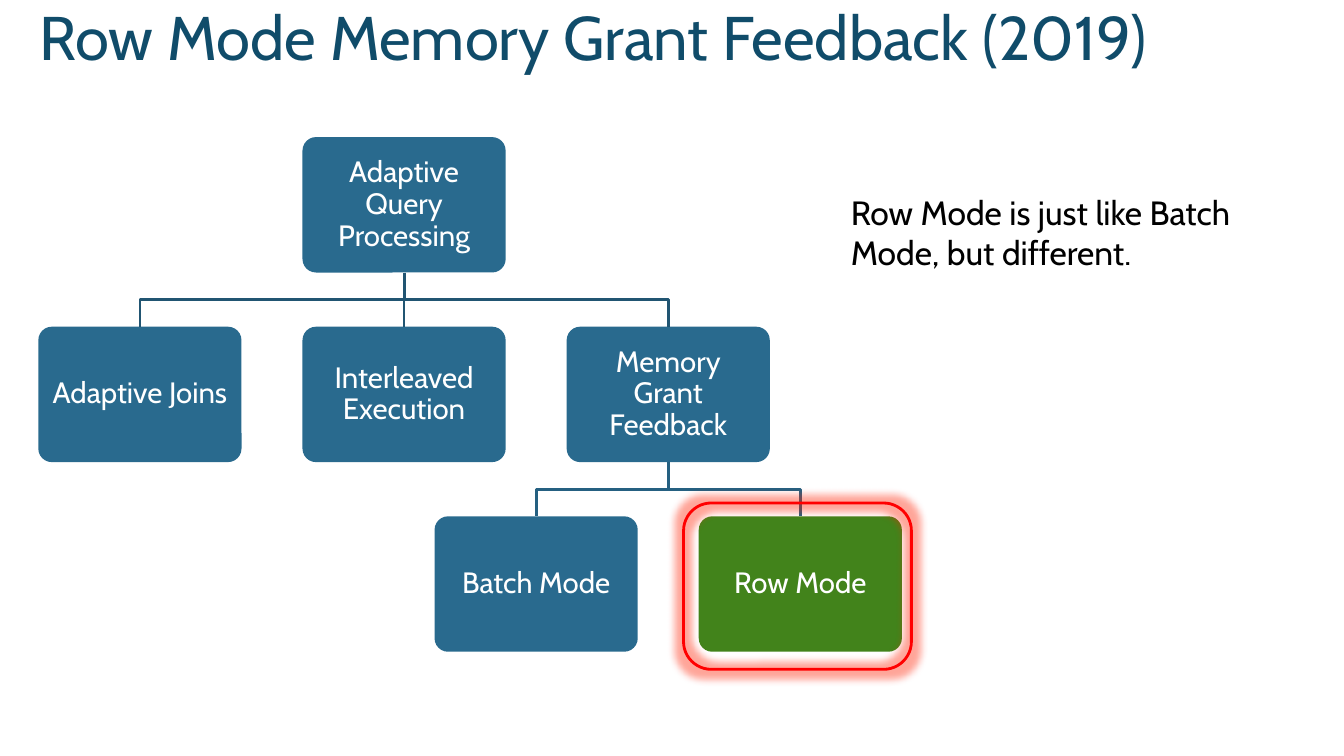
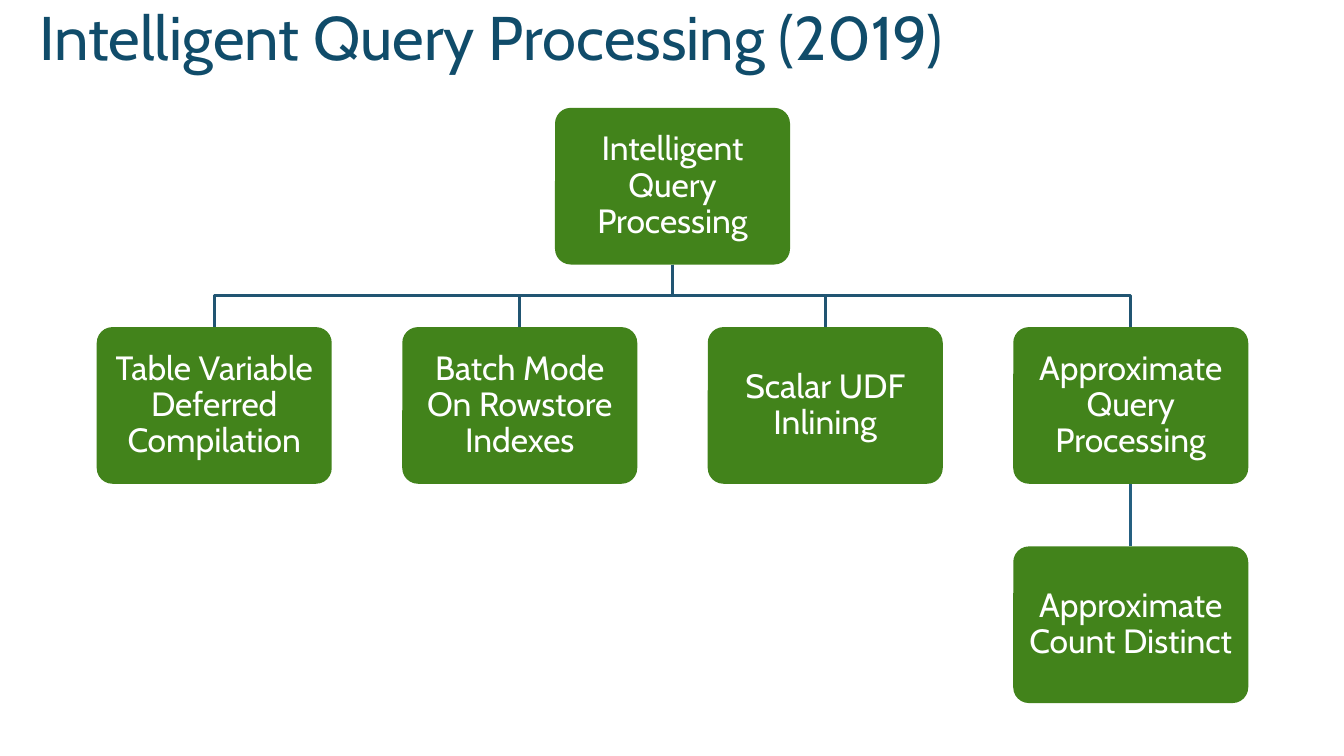
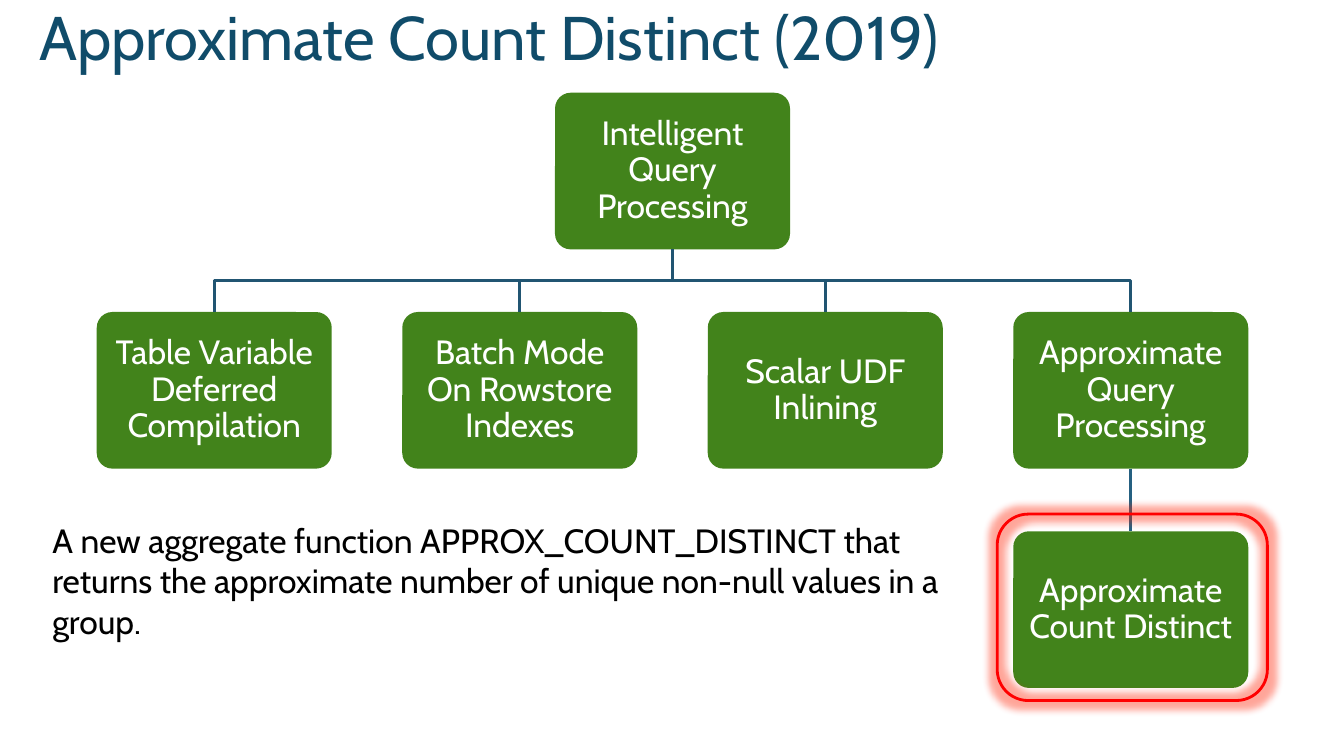
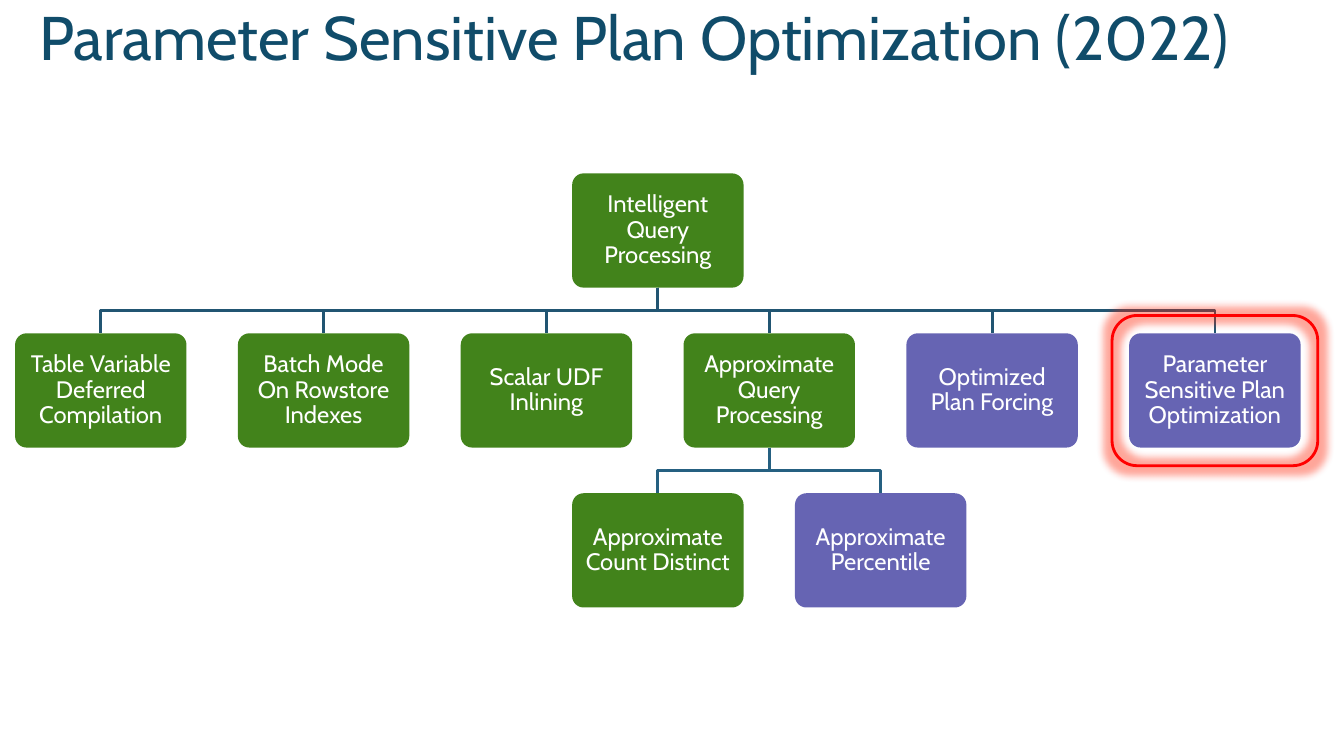
from lxml import etree
from pptx import Presentation
from pptx import util as u
from pptx.dml.color import RGBColor
from pptx.enum import shapes, text
from pptx.oxml.ns import qn

COLORS = {
    "title": "104C6A",
    "body": "000000",
    "label": "FFFFFF",
    "adaptive": "296A8E",
    "intelligent": "42831B",
    "latest": "6664B3",
    "upper branch": "215572",
    "lower branch": "256081",
    "ring": "FF0000",
    "glow": "FF2000",
}
FONT = "Cabin"

adaptive_tree = [
    ("Adaptive Query Processing", 1, 0, "adaptive", None),
    ("Adaptive Joins", 0, 1, "adaptive", "Adaptive Query Processing"),
    ("Interleaved Execution", 1, 1, "adaptive", "Adaptive Query Processing"),
    ("Memory Grant Feedback", 2, 1, "adaptive", "Adaptive Query Processing"),
    ("Batch Mode", 1.5, 2, "adaptive", "Memory Grant Feedback"),
    ("Row Mode", 2.5, 2, "intelligent", "Memory Grant Feedback"),
]
features = [
    ("Table Variable Deferred Compilation", 0, 1, "intelligent", "Intelligent Query Processing"),
    ("Batch Mode On Rowstore Indexes", 1, 1, "intelligent", "Intelligent Query Processing"),
    ("Scalar UDF Inlining", 2, 1, "intelligent", "Intelligent Query Processing"),
    ("Approximate Query Processing", 3, 1, "intelligent", "Intelligent Query Processing"),
]
tree_2019 = [
    ("Intelligent Query Processing", 1.5, 0, "intelligent", None),
    *features,
    ("Approximate Count Distinct", 3, 2, "intelligent", "Approximate Query Processing"),
]
tree_2022 = [
    ("Intelligent Query Processing", 2.5, 0, "intelligent", None),
    *features,
    ("Approximate Count Distinct", 2.5, 2, "intelligent", "Approximate Query Processing"),
    ("Approximate Percentile", 3.5, 2, "latest", "Approximate Query Processing"),
    ("Optimized Plan Forcing", 4, 1, "latest", "Intelligent Query Processing"),
    ("Parameter Sensitive Plan Optimization", 5, 1, "latest", "Intelligent Query Processing"),
]

pages = [
    {
        "title": "Row Mode Memory Grant Feedback (2019)",
        "tree": adaptive_tree, "left": 0.38, "top": 1.36, "pitch": 2.62, "size": 21,
        "ring": (6.78, 4.99, 2.26, 1.65),
        "remark": "Row Mode is just like Batch Mode, but different.",
        "remark at": (8.34, 1.85, 4.89, 0.91),
    },
    {
        "title": "Intelligent Query Processing (2019)",
        "tree": tree_2019, "left": 0.96, "top": 1.07, "pitch": 3.03, "size": 24,
    },
    {
        "title": "Approximate Count Distinct (2019)",
        "tree": tree_2019, "left": 0.96, "top": 0.92, "pitch": 3.03, "size": 24,
        "ring": (9.89, 5.1, 2.68, 1.85),
        "remark": "A new aggregate function APPROX_COUNT_DISTINCT that returns the "
                  "approximate number of unique non-null values in a group.",
        "remark at": (0.42, 5.11, 9.35, 1.31),
    },
    {
        "title": "Parameter Sensitive Plan Optimization (2022)",
        "tree": tree_2022, "left": 0.15, "top": 1.72, "pitch": 2.21, "size": 17,
        "ring": (11.03, 3.13, 2.04, 1.49),
    },
]


def write(frame, words, size, color):
    frame.word_wrap = True
    paragraph = frame.paragraphs[0]
    paragraph.text = words
    paragraph.font.name = FONT
    paragraph.font.size = u.Pt(size)
    paragraph.font.color.rgb = RGBColor.from_string(COLORS[color])
    return paragraph


def stroke(line, color):
    line.color.rgb = RGBColor.from_string(COLORS[color])
    line.width = u.Pt(2)


deck = Presentation()
deck.slide_width, deck.slide_height = u.Inches(13.33), u.Inches(7.5)

for page in pages:
    canvas = deck.slides.add_slide(deck.slide_layouts[6]).shapes
    heading = canvas.add_textbox(*map(u.Inches, (0.29, 0.19, 12.62, 1.25)))
    write(heading.text_frame, page["title"], 44, "title").line_spacing = u.Pt(35)

    width = page["pitch"] / 1.3
    height = width * 2 / 3
    inset = u.Inches(width * 0.04)
    nodes = {}
    for words, column, row, color, parent in page["tree"]:
        node = canvas.add_shape(
            shapes.MSO_SHAPE.ROUNDED_RECTANGLE,
            u.Inches(page["left"] + column * page["pitch"]),
            u.Inches(page["top"] + row * height * 1.4),
            u.Inches(width), u.Inches(height))
        node.adjustments[0] = 0.1
        node.shadow.inherit = False
        node.fill.solid()
        node.fill.fore_color.rgb = RGBColor.from_string(COLORS[color])
        node.line.fill.background()
        frame = node.text_frame
        frame.margin_left = frame.margin_right = inset
        frame.margin_top = frame.margin_bottom = inset
        frame.vertical_anchor = text.MSO_ANCHOR.MIDDLE
        label = write(frame, words, page["size"], "label")
        label.alignment = text.PP_ALIGN.CENTER
        label.line_spacing = 0.9
        nodes[words] = node
        if parent is None:
            continue

        source = nodes[parent]
        start_x, start_y = source.left + source.width // 2, source.top + source.height
        end_x, end_y = node.left + node.width // 2, node.top
        branch_color = "upper branch" if row == 1 else "lower branch"
        if start_x == end_x:
            branch = canvas.add_connector(
                shapes.MSO_CONNECTOR.STRAIGHT, start_x, start_y, end_x, end_y)
            branch.begin_connect(source, 2)
            branch.end_connect(node, 0)
            stroke(branch.line, branch_color)
            etree.SubElement(branch._element.spPr, qn("a:effectLst"))
        else:
            middle_y = (start_y + end_y) // 2
            outline = canvas.build_freeform(start_x, start_y)
            outline.add_line_segments(
                [(start_x, middle_y), (end_x, middle_y), (end_x, end_y)], close=False)
            branch = outline.convert_to_shape()
            branch.shadow.inherit = False
            branch.fill.background()
            stroke(branch.line, branch_color)

    if "ring" in page:
        ring = canvas.add_shape(
            shapes.MSO_SHAPE.ROUNDED_RECTANGLE, *map(u.Inches, page["ring"]))
        ring.fill.background()
        stroke(ring.line, "ring")
        ring.shadow.inherit = False
        effects = ring._element.spPr.find(qn("a:effectLst"))
        glow = etree.SubElement(effects, qn("a:glow"), rad=str(u.Pt(11)))
        tint = etree.SubElement(glow, qn("a:srgbClr"), val=COLORS["glow"])
        etree.SubElement(tint, qn("a:alpha"), val="40000")

    if "remark" in page:
        remark = canvas.add_textbox(*map(u.Inches, page["remark at"]))
        write(remark.text_frame, page["remark"], 24, "body")

deck.save("out.pptx")
